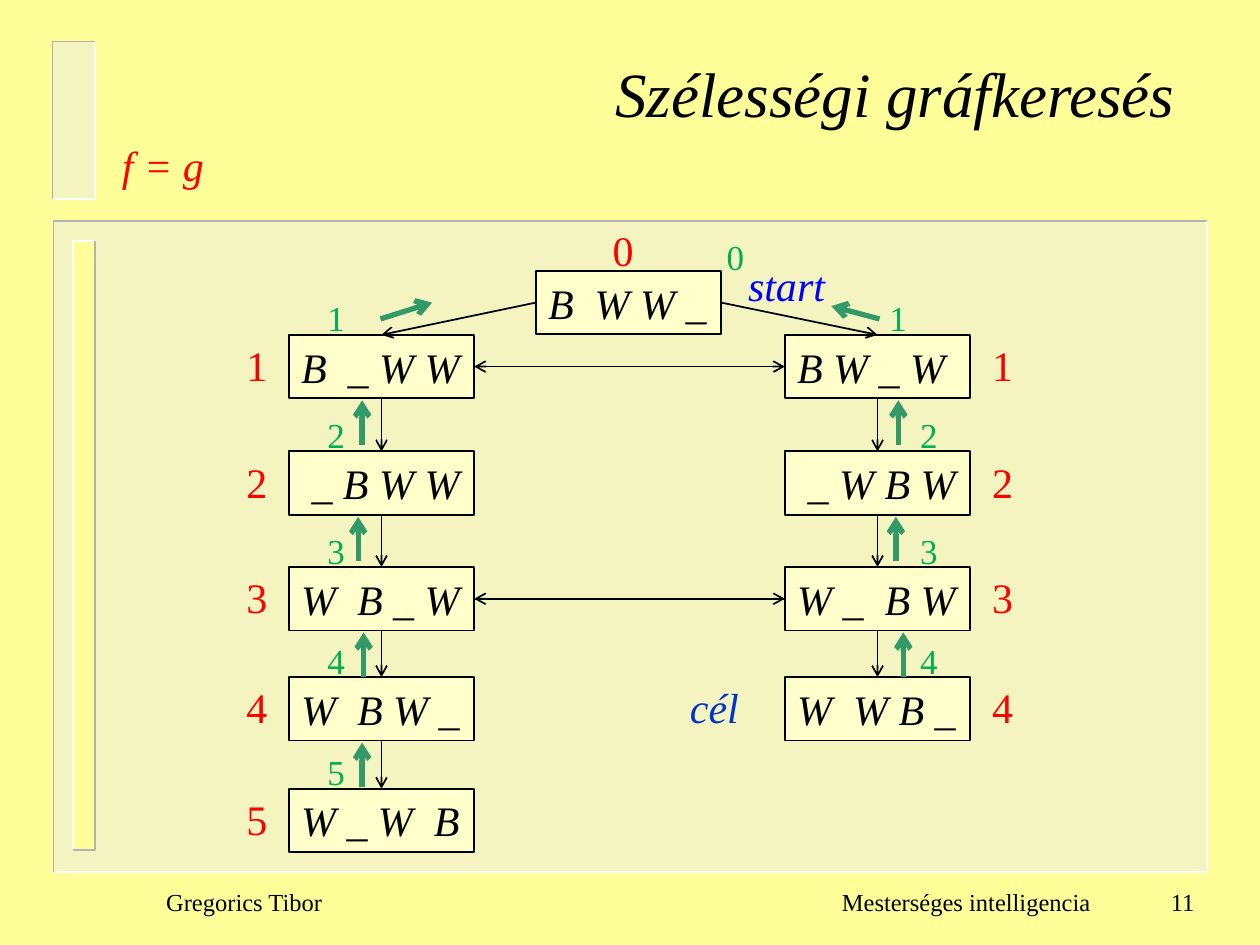
"""Build the breadth-first graph search slide."""
import pptx
import pptx.dml.color
import pptx.enum.shapes
import pptx.enum.text
import pptx.oxml.ns
import pptx.util
from lxml import etree

Cm = pptx.util.Cm
qn = pptx.oxml.ns.qn
ALIGN = pptx.enum.text.PP_ALIGN
ANCHOR = pptx.enum.text.MSO_ANCHOR
RECT = pptx.enum.shapes.MSO_SHAPE.RECTANGLE
STRAIGHT = pptx.enum.shapes.MSO_CONNECTOR.STRAIGHT

NODE_W, NODE_H = 3.74, 1.28
ROWS = [6.75, 9.1, 11.43, 13.65, 15.9]
ROOT_X, ROOT_Y = 10.8, 5.46
COLUMNS = [
    {"x": 5.82, "cost_x": 4.72, "depth_x": [6.35] * 5, "up_x": [7.3, 7.22, 7.33, 7.3],
     "states": ["B  _ W W", " _ B W W", "W  B _ W", "W  B W _", "W _ W  B"]},
    {"x": 15.82, "cost_x": 19.75, "depth_x": [17.68] + [18.3] * 3, "up_x": [18.11, 18.06, 18.21],
     "states": ["B W _ W ", " _ W B W", "W _  B W", "W  W B _"]},
]


def rgb(hex_color):
    return pptx.dml.color.RGBColor.from_string(hex_color)


def fill_solid(fill, color, alpha=None):
    fill.solid()
    fill.fore_color.rgb = rgb(color)
    if alpha:
        clr = fill._xPr.find(".//" + qn("a:srgbClr"))
        etree.SubElement(clr, qn("a:alpha")).set("val", str(alpha * 1000))


def write(sp, text, size, color, italic=False, align=ALIGN.LEFT, anchor=ANCHOR.TOP, wrap=True):
    tf = sp.text_frame
    for name, value in {"word_wrap": wrap, "vertical_anchor": anchor}.items():
        setattr(tf, name, value)
    p = tf.paragraphs[0]
    p.alignment = align
    r = p.add_run()
    r.text = text
    font = {"name": "Times New Roman", "size": pptx.util.Pt(size), "italic": italic}
    for name, value in font.items():
        setattr(r.font, name, value)
    r.font.color.rgb = rgb(color)


def add_text(s, x, y, w, h, text, size, color, **fmt):
    write(s.shapes.add_textbox(Cm(x), Cm(y), Cm(w), Cm(h)), text, size, color, **fmt)


def add_rect(s, x, y, w, h, color, alpha=None):
    sp = s.shapes.add_shape(RECT, Cm(x), Cm(y), Cm(w), Cm(h))
    sp.shadow.inherit = False
    fill_solid(sp.fill, color, alpha)
    sp.line.fill.background()
    return sp


def add_edge(s, points, color):
    (x, y), *rest = [(Cm(px), Cm(py)) for px, py in points]
    fb = s.shapes.build_freeform(x, y)
    fb.add_line_segments(rest, close=False)
    sp = fb.convert_to_shape()
    sp.shadow.inherit = False
    sp.fill.background()
    sp.line.color.rgb = rgb(color)
    sp.line.width = pptx.util.Pt(1)


def add_bevel(s, x, y, w, h, color, alpha, upper, lower):
    add_rect(s, x, y, w, h, color, alpha)
    top_right, bottom_left = (x + w, y), (x, y + h)
    add_edge(s, [top_right, (x, y), bottom_left], upper)
    add_edge(s, [top_right, (x + w, y + h), bottom_left], lower)


def add_node(s, x, y, text):
    sp = add_rect(s, x, y, NODE_W, NODE_H, "FFFFCC")
    sp.line.color.rgb = rgb("000000")
    sp.line.width = pptx.util.Pt(1)
    write(sp, text, 24, "000000", italic=True, wrap=False)


def add_arrow(s, x1, y1, x2, y2, color="000000", width=1):
    cn = s.shapes.add_connector(STRAIGHT, Cm(x1), Cm(y1), Cm(x2), Cm(y2))
    cn.line.color.rgb = rgb(color)
    cn.line.width = pptx.util.Pt(width)
    etree.SubElement(cn.line._get_or_add_ln(), qn("a:tailEnd")).set("type", "arrow")
    etree.SubElement(cn._element.spPr, qn("a:effectLst"))


def add_cost(s, x, y, value):
    add_text(s, x, y, 0.95, NODE_H, str(value), 24, "FF0000")


def add_depth(s, x, y, value):
    add_text(s, x, y, 0.95, 1.11, str(value), 20, "00B050")


def add_column(s, x, cost_x, depth_x, up_x, states):
    for i, (y, state) in enumerate(zip(ROWS, states)):
        add_node(s, x, y, state)
        add_cost(s, cost_x, y - 0.03, i + 1)
        add_depth(s, depth_x[i], y - 0.89, i + 1)
    mid = x + NODE_W / 2
    for y, below, ux in zip(ROWS, ROWS[1:], up_x):
        bottom = y + NODE_H
        add_arrow(s, mid, bottom, mid, below)
        add_arrow(s, ux, bottom + 0.94, ux, bottom + 0.04, "339966", 3)


def add_graph(s):
    add_node(s, ROOT_X, ROOT_Y, "B  W W _")
    add_cost(s, 12.1, 4.4, 0)
    add_depth(s, 14.4, 4.62, 0)
    for column in COLUMNS:
        add_column(s, **column)
    left, right = [column["x"] for column in COLUMNS]
    for x, start in ((left, ROOT_X), (right, ROOT_X + NODE_W)):
        add_arrow(s, start, ROOT_Y + NODE_H / 2, x + NODE_W / 2, ROWS[0])
    for row in (0, 2):
        y = ROWS[row] + NODE_H / 2
        add_arrow(s, left + NODE_W, y, right, y)
        add_arrow(s, right, y, left + NODE_W, y)
    add_arrow(s, 7.67, 6.43, 8.71, 6.1, "339966", 3)
    add_arrow(s, 17.73, 6.43, 16.76, 6.17, "339966", 3)


def main():
    prs = pptx.Presentation()
    prs.slide_width, prs.slide_height = Cm(25.4), Cm(19.05)
    s = prs.slides.add_slide(prs.slide_layouts[6])
    fill_solid(s.background.fill, "FFFF99")
    add_bevel(s, 1.08, 4.45, 23.25, 13.13, "EAEAEA", 50, "B2B2B2", "FFFFFF")
    add_bevel(s, 1.48, 4.86, 0.43, 12.28, "FFFF99", None, "FFFFFF", "B2B2B2")
    add_bevel(s, 1.06, 0.84, 0.85, 3.17, "EAEAEA", 50, "B2B2B2", "FFFFFF")
    add_text(s, 2.34, 0.97, 21.59, 3.07, "Szélességi gráfkeresés", 36, "000000",
             italic=True, align=ALIGN.RIGHT)
    add_text(s, 2.21, 2.69, 2.3, NODE_H, "f = g", 24, "FF0000", italic=True)
    add_graph(s)
    add_text(s, 14.83, 5.11, 2.2, NODE_H, "start", 24, "0000FF", italic=True)
    add_text(s, 13.66, 13.62, 1.6, NODE_H, "cél", 24, "0033CC", italic=True)
    for x, w, text, align in ((3.1, 6, "Gregorics Tibor", ALIGN.LEFT),
                              (14.24, 8, "Mesterséges intelligencia", ALIGN.RIGHT),
                              (22.33, 2, "11", ALIGN.RIGHT)):
        add_text(s, x, 17.55, w, 1.27, text, 14, "000000", align=align, anchor=ANCHOR.MIDDLE)
    prs.save("out.pptx")


main()
